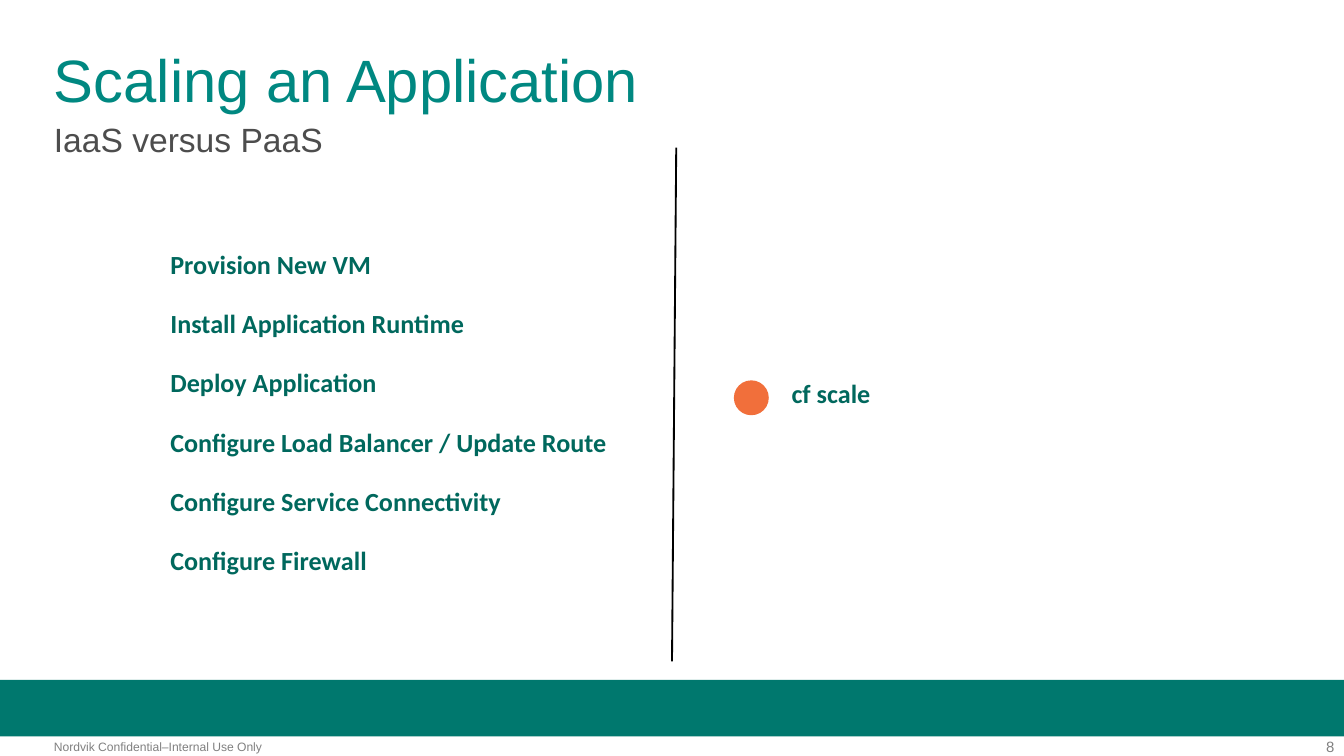
from lxml import etree
from pptx import Presentation
from pptx.dml.color import RGBColor
from pptx.enum import shapes, text
from pptx.oxml import ns
from pptx.util import Cm, Pt

TEAL = RGBColor(0x00, 0x88, 0x81)
BAND_TEAL = RGBColor(0x00, 0x78, 0x6E)
DARK_TEAL = RGBColor(0x00, 0x68, 0x5D)
ORANGE = RGBColor(0xF1, 0x6F, 0x3B)
DARK_GRAY = RGBColor(0x4D, 0x4D, 0x4D)
GRAY = RGBColor(0x80, 0x80, 0x80)
BLACK = RGBColor(0x00, 0x00, 0x00)

TITLE = {"name": "Arial", "size": Pt(32)}
SUBTITLE = {"name": "Arial", "size": Pt(18)}
FOOTER = {"name": "Arial", "size": Pt(6.5)}
PAGE = {"name": "Arial", "size": Pt(8)}
STEP = {"name": "Calibri", "size": Pt(14), "bold": True}
NO_MARGINS = {"margin_left": 0, "margin_top": 0, "margin_right": 0, "margin_bottom": 0}

prs = Presentation()
prs.slide_width, prs.slide_height = Cm(25.4), Cm(14.29)
slide = prs.slides.add_slide(prs.slide_layouts[6])


def add_text(words, box, font, color, frame_format):
    frame = slide.shapes.add_textbox(*map(Cm, box)).text_frame
    for key, value in {"word_wrap": True, **frame_format}.items():
        setattr(frame, key, value)
    paragraph = frame.paragraphs[0]
    run = paragraph.add_run()
    run.text = words
    for key, value in font.items():
        setattr(run.font, key, value)
    run.font.color.rgb = color
    return paragraph


def add_filled(preset, box, color):
    filled = slide.shapes.add_shape(preset, *map(Cm, box))
    filled.shadow.inherit = False
    filled.fill.solid()
    filled.fill.fore_color.rgb = color
    filled.line.fill.background()


add_filled(shapes.MSO_SHAPE.RECTANGLE, (0, 12.85, 25.4, 1.07), BAND_TEAL)
page = add_text("8", (23.75, 13.94, 1.47, 0.33), PAGE, GRAY, NO_MARGINS)
page.alignment = text.PP_ALIGN.RIGHT
add_text("Nordvik Confidential–Internal Use Only", (1.02, 13.97, 6.32, 0.28),
         FOOTER, GRAY, NO_MARGINS)

add_text("IaaS versus PaaS", (1.02, 2.24, 23.37, 0.97), SUBTITLE, DARK_GRAY, NO_MARGINS)
title = add_text("Scaling an Application", (1.02, 0.91, 23.37, 1.27), TITLE, TEAL,
                 {**NO_MARGINS, "vertical_anchor": text.MSO_ANCHOR.BOTTOM})
title.line_spacing = 0.9

iaas_steps = [
    "Provision New VM",
    "Install Application Runtime",
    "Deploy Application",
    "Configure Load Balancer / Update Route",
    "Configure Service Connectivity",
    "Configure Firewall",
]
for row, step in enumerate(iaas_steps):
    add_text(step, (2.97, 4.57 + row * 1.12, 9.2, 0.86), STEP, DARK_TEAL, {})

divider = slide.shapes.add_connector(
    shapes.MSO_CONNECTOR.STRAIGHT, Cm(12.78), Cm(2.79), Cm(12.7), Cm(12.5))
divider.line.color.rgb = BLACK
divider.line.width = Pt(1)
etree.SubElement(divider.element.spPr, ns.qn("a:effectLst"))

add_text("cf scale", (14.71, 7.01, 3, 0.86), STEP, DARK_TEAL, {})
add_filled(shapes.MSO_SHAPE.OVAL, (13.87, 7.19, 0.66, 0.66), ORANGE)

prs.save("out.pptx")
